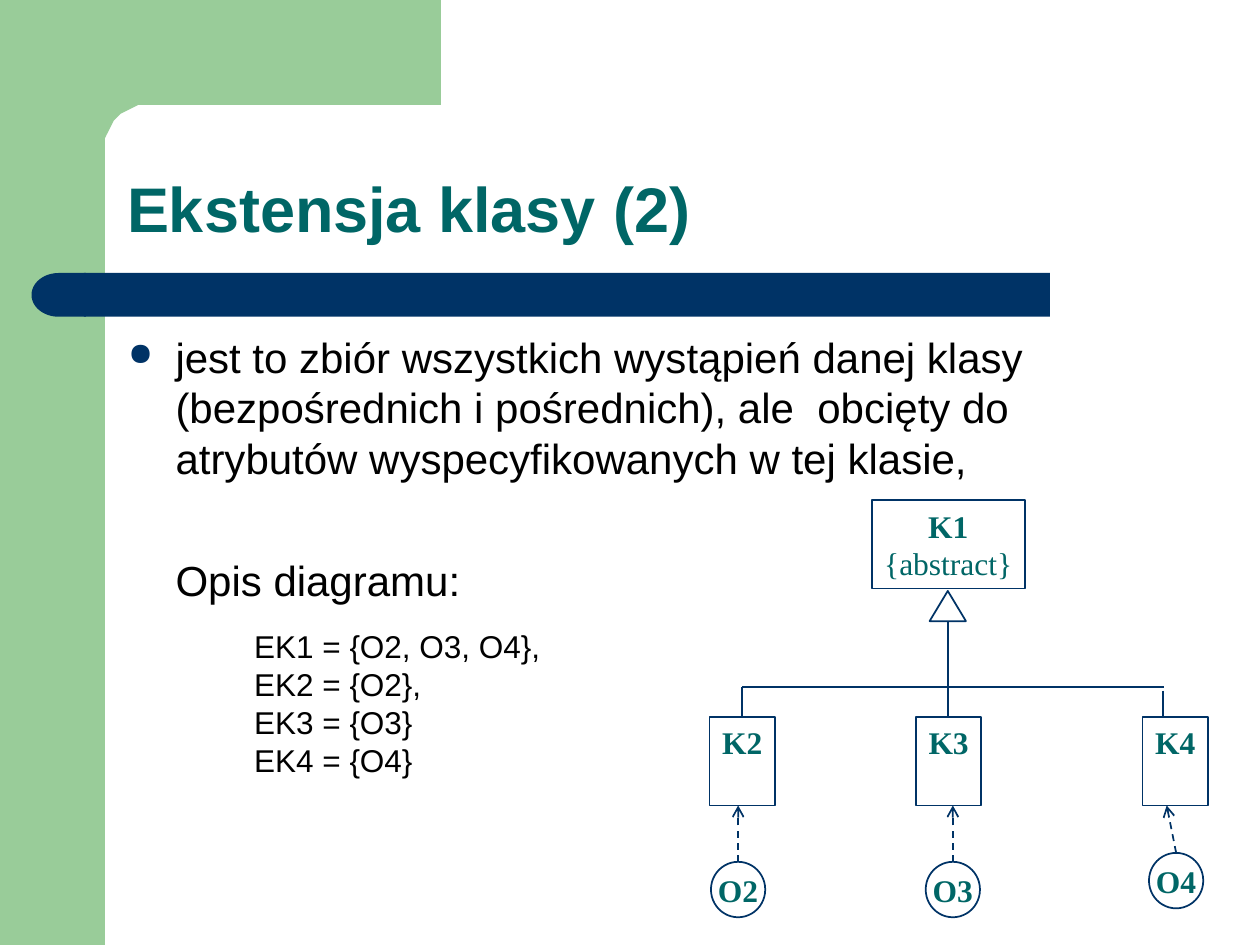
from dataclasses import dataclass
from math import cos, pi, sin

from lxml.etree import SubElement
from pptx import Presentation
from pptx.dml.color import RGBColor
from pptx.enum.dml import MSO_LINE
from pptx.enum.shapes import MSO_CONNECTOR, MSO_SHAPE as Preset
from pptx.enum.text import MSO_ANCHOR as Anchor, PP_ALIGN as Align
from pptx.oxml.ns import qn
from pptx.util import Pt

COLORS = {"green": "99CC99", "navy": "003366", "teal": "006666", "black": "000000"}
TITLE = {"name": "Arial", "size": Pt(36), "bold": True}
BODY = {"name": "Arial", "size": Pt(24), "bold": False}
DETAIL = {"name": "Arial", "size": Pt(18), "bold": False}
NAME = {"name": "Times New Roman", "size": Pt(18), "bold": True}
NOTE = {**NAME, "bold": False}


@dataclass
class Box:
    left: float
    top: float
    width: float
    height: float

    def lengths(self) -> list:
        return [Pt(value) for value in (self.left, self.top, self.width, self.height)]


@dataclass
class Line:
    text: str
    font: dict
    color: str


@dataclass
class Subclass:
    name: str
    instance: str
    box_left: float
    circle: Box
    arrow_end: float


def color(name: str) -> RGBColor:
    return RGBColor.from_string(COLORS[name])


def write(shape, lines: list[Line], anchor=Anchor.TOP, align=Align.LEFT,
          wrap: bool = True) -> list:
    frame = shape.text_frame
    settings = {"word_wrap": wrap, "vertical_anchor": anchor,
                "margin_left": Pt(7.2), "margin_right": Pt(7.2),
                "margin_top": Pt(3.6), "margin_bottom": Pt(3.6)}
    for key, value in settings.items():
        setattr(frame, key, value)
    paragraphs = []
    for index, line in enumerate(lines):
        paragraph = frame.add_paragraph() if index else frame.paragraphs[0]
        paragraph.alignment = align
        run = paragraph.add_run()
        run.text = line.text
        for key, value in line.font.items():
            setattr(run.font, key, value)
        run.font.color.rgb = color(line.color)
        paragraphs.append(paragraph)
    return paragraphs


def paint(shape, name: str) -> None:
    shape.shadow.inherit = False
    shape.fill.solid()
    shape.fill.fore_color.rgb = color(name)
    shape.line.fill.background()


def add_solid(slide, preset, box: Box, name: str):
    shape = slide.shapes.add_shape(preset, *box.lengths())
    paint(shape, name)
    return shape


def add_outline(slide, preset, box: Box):
    shape = slide.shapes.add_shape(preset, *box.lengths())
    shape.shadow.inherit = False
    shape.fill.background()
    shape.line.color.rgb = color("navy")
    shape.line.width = Pt(1)
    return shape


def add_line(slide, start: tuple, end: tuple, arrow: bool = False) -> None:
    line = slide.shapes.add_connector(
        MSO_CONNECTOR.STRAIGHT, *[Pt(value) for value in (*start, *end)])
    line.line.color.rgb = color("navy")
    line.line.width = Pt(1)
    if arrow:
        line.line.dash_style = MSO_LINE.DASH
        SubElement(line.line._get_or_add_ln(), qn("a:tailEnd"), type="arrow")
    SubElement(line._element.spPr, qn("a:effectLst"))


def add_text(slide, box: Box, lines: list[Line], **options) -> list:
    return write(slide.shapes.add_textbox(*box.lengths()), lines, **options)


def set_indent(paragraph, margin: float, first: float):
    properties = paragraph._p.get_or_add_pPr()
    properties.set("marL", str(Pt(margin)))
    properties.set("indent", str(Pt(first)))
    return properties


def add_frame(slide) -> None:
    # Green side band and its rounded inner corner
    add_solid(slide, Preset.RECTANGLE, Box(0, 0, 60, 540), "green")
    edge, radius = 60, 24
    center = edge + radius
    arc = [(center - radius * sin(step * pi / 32), center - radius * cos(step * pi / 32))
           for step in range(17)]
    outline = [(252, 0), (252, edge), *arc, (edge, 92), (36, 92), (36, 0)]
    builder = slide.shapes.build_freeform(*outline[0], scale=Pt(1))
    builder.add_line_segments(outline[1:], close=True)
    paint(builder.convert_to_shape(), "green")
    # Navy bar with a round left end
    bar = add_solid(slide, Preset.ROUNDED_RECTANGLE, Box(48, 156, 552, 25), "navy")
    bar.adjustments[0] = 0
    cap = add_solid(slide, Preset.FLOWCHART_DELAY, Box(18, 156, 31, 25), "navy")
    cap.rotation = 180


def add_wording(slide) -> None:
    title = add_text(slide, Box(65.5, 65.5, 612.7, 78.5),
                     [Line("Ekstensja klasy (2)", TITLE, "teal")], anchor=Anchor.BOTTOM)
    title[0].line_spacing = 0.9

    definition, heading = add_text(slide, Box(66.2, 185.8, 605.5, 293), [
        Line("jest to zbiór wszystkich wystąpień danej klasy (bezpośrednich i pośrednich), "
             "ale  obcięty do atrybutów wyspecyfikowanych w tej klasie,", BODY, "black"),
        Line("Opis diagramu:", BODY, "black")])
    bullet = set_indent(definition, 27, -27)
    SubElement(SubElement(bullet, qn("a:buClr")), qn("a:srgbClr"), val=COLORS["navy"])
    SubElement(bullet, qn("a:buSzPct"), val="75000")
    SubElement(bullet, qn("a:buChar"), char="●")
    set_indent(heading, 27, 0)
    heading.space_before = Pt(41)

    extents = ["EK1 = {O2, O3, O4},", "EK2 = {O2},", "EK3 = {O3}", "EK4 = {O4}"]
    for paragraph in add_text(slide, Box(133.2, 355, 198.7, 93.6),
                              [Line(extent, DETAIL, "black") for extent in extents]):
        set_indent(paragraph, 5, 0)


def add_diagram(slide) -> None:
    centered = {"align": Align.CENTER, "wrap": False}
    box_top, box_width, box_height = 409.7, 37.4, 50.6
    branch_top, trunk = 392.4, 541.8

    # Abstract superclass with the inheritance triangle
    parent = add_outline(slide, Preset.RECTANGLE, Box(498.2, 285.8, 87.4, 50.6))
    write(parent, [Line("K1", NAME, "teal"), Line("{abstract}", NOTE, "teal")],
          anchor=Anchor.MIDDLE, **centered)
    add_outline(slide, Preset.ISOSCELES_TRIANGLE, Box(531.2, 337.7, 20.8, 17.3))
    add_line(slide, (trunk, 355), (trunk, box_top))

    # Subclasses, each with its instance
    subclasses = [
        Subclass("K2", "O2", 405.4, Box(406.3, 492.5, 31, 31.7), 421.8),
        Subclass("K3", "O3", 523.4, Box(529.0, 492.5, 31, 31.7), 544.5),
        Subclass("K4", "O4", 652.9, Box(656.6, 487.4, 31, 31.7), 666.7),
    ]
    for item in subclasses:
        box = Box(item.box_left, box_top, box_width, box_height)
        write(add_outline(slide, Preset.RECTANGLE, box),
              [Line(item.name, NAME, "teal")], **centered)
        circle = item.circle
        write(add_outline(slide, Preset.OVAL, circle),
              [Line(item.instance, NAME, "teal")], anchor=Anchor.MIDDLE, **centered)
        add_line(slide, (circle.left + circle.width / 2, circle.top),
                 (item.arrow_end, box_top + box_height), arrow=True)

    # Branch line and its outer drops
    add_line(slide, (424.1, branch_top), (665.3, branch_top))
    add_line(slide, (424.1, branch_top), (424.1, box_top))
    add_line(slide, (664.6, 394.6), (664.6, box_top))


def main() -> None:
    presentation = Presentation()
    presentation.slide_width, presentation.slide_height = Pt(720), Pt(540)
    slide = presentation.slides.add_slide(presentation.slide_layouts[6])
    add_frame(slide)
    add_wording(slide)
    add_diagram(slide)
    presentation.save("out.pptx")


if __name__ == "__main__":
    main()
